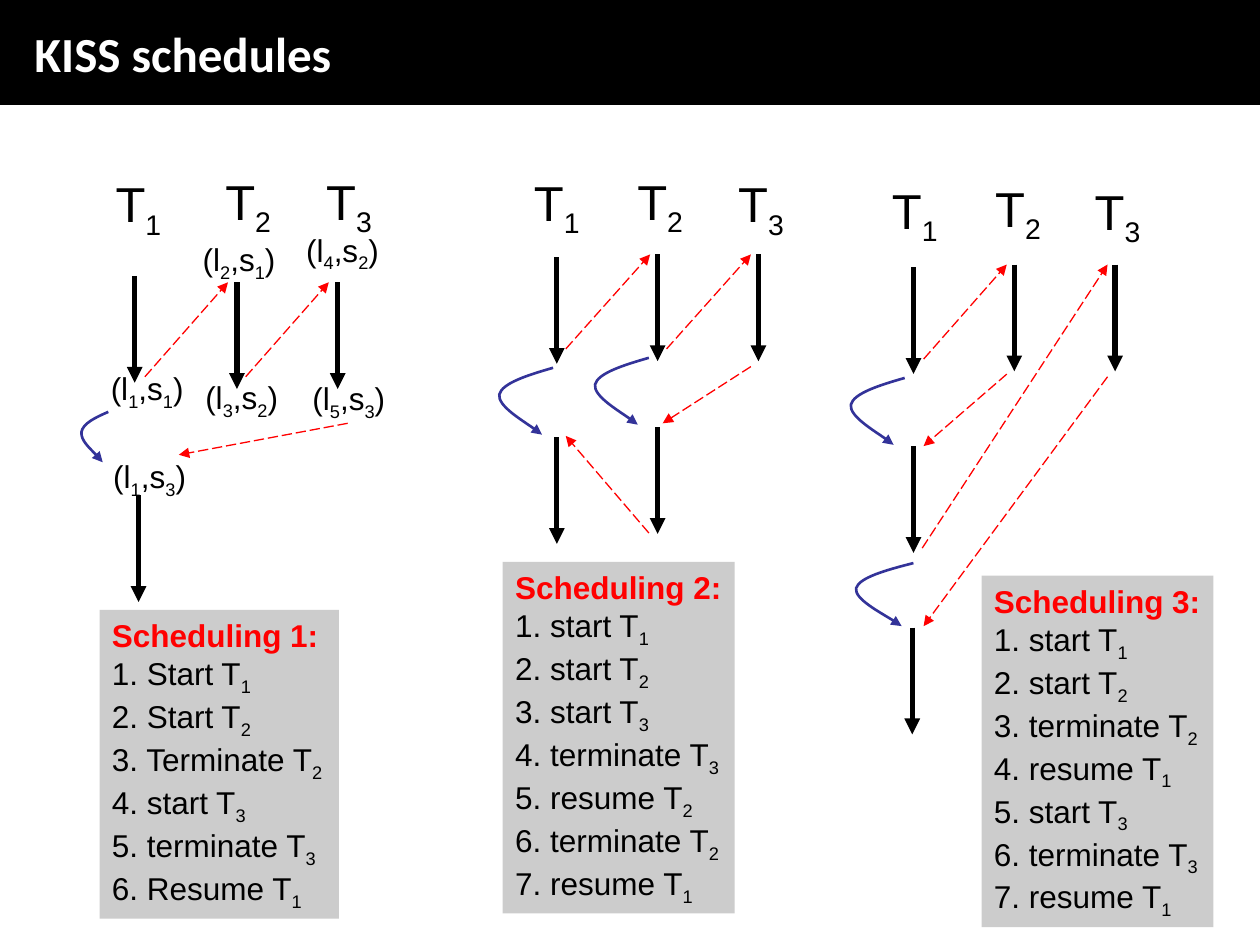
"""Build the KISS schedules slide: three task schedules with arrows and step lists."""
from pptx import Presentation
from pptx.dml.color import RGBColor
from pptx.enum import dml, shapes, text
from pptx.oxml import ns, xmlchemy
from pptx.util import Pt

BLACK, WHITE = RGBColor(0, 0, 0), RGBColor(255, 255, 255)
RED, BLUE, GRAY = RGBColor(255, 0, 0), RGBColor(0x33, 0x33, 0x99), RGBColor(0xCC, 0xCC, 0xCC)

TITLE = "KISS schedules"
SCHEDULES = [
    {
        "tasks": [(59, 95.8), (121.7, 94.3), (179.3, 94.3)],
        "states": [("(l_1,s_1)", 56.2, 207.4), ("(l_1,s_3)", 57.6, 257.8),
                   ("(l_2,s_1)", 108.7, 133.9), ("(l_3,s_2)", 110.2, 212.4),
                   ("(l_4,s_2)", 167.8, 128.2), ("(l_5,s_3)", 171.4, 213.1)],
        "runs": [(77, 157.7), (135.4, 161.3), (193, 161.3), (79.2, 283)],
        "switches": [(82.8, 215.3, 130.3, 161.3), (140.4, 215.3, 187.9, 161.3),
                     (198.7, 241.9, 102.2, 259.9)],
        "waits": [(46.1, 235.4, 15.8, 28.8)],
        "panel": (56.9, 348.5, 136.8, 176.4),
        "steps": ["Start T_1", "Start T_2", "Terminate T_2", "start T_3",
                  "terminate T_3", "Resume T_1"],
    },
    {
        "tasks": [(298, 95), (357.1, 94.3), (414.7, 95.8)],
        "states": [],
        "runs": [(318.2, 146.9), (375.8, 145.4), (433.4, 145.4), (375.8, 244.1), (318.2, 249.8)],
        "switches": [(323.3, 199.4, 371.5, 145.4), (380.9, 199.4, 429.1, 145.4),
                     (429.1, 209.5, 378.7, 241.9), (370.8, 304.6, 323.3, 249.1)],
        "waits": [(339.1, 204.5, 31.7, 38.2), (284.4, 210.2, 31.7, 38.2)],
        "panel": (287.3, 321.1, 132.5, 200.9),
        "steps": ["start T_1", "start T_2", "start T_3", "terminate T_3",
                  "resume T_2", "terminate T_2", "resume T_1"],
    },
    {
        "tasks": [(502.6, 99.4), (561.6, 98.6), (618.5, 100.1)],
        "states": [],
        "runs": [(522, 152.6), (579.6, 151.2), (637.2, 151.2), (522, 254.9), (521.3, 358.6)],
        "switches": [(527.8, 205.2, 575.3, 151.2), (575.3, 213.8, 527.8, 254.9),
                     (527, 313.2, 632.9, 151.2), (632.9, 215.3, 527.8, 357.8)],
        "waits": [(485.3, 216, 31.7, 38.2), (488.2, 321.8, 33.8, 36)],
        "panel": (560.9, 329, 132.5, 200.9),
        "steps": ["start T_1", "start T_2", "terminate T_2", "resume T_1",
                  "start T_3", "terminate T_3", "resume T_1"],
    },
]
RUN_LENGTH = 61
TASK_SIZE, STATE_SIZE = (40.3, 45.4), (56.2, 31.7)
HOOK = [(1, 0), (0.54, 0.11), (0.08, 0.23), (0.03, 0.4), (0, 0.57), (0.68, 0.91), (0.8, 1)]
BODY = {"name": "Arial", "size": Pt(18), "bold": False}
HEADING = {**BODY, "bold": True}
TASK = {**BODY, "size": Pt(28)}
TITLE_FONT = {"name": "Calibri", "size": Pt(28), "bold": True}

prs = Presentation()
prs.slide_width, prs.slide_height = Pt(720), Pt(540)
slide = prs.slides.add_slide(prs.slide_layouts[6])


def add_run(p, words, font, color, baseline=None):
    """Add one formatted run, lowered when a baseline is given."""
    r = p.add_run()
    r.text = words
    for key, value in font.items():
        setattr(r.font, key, value)
    r.font.color.rgb = color
    if baseline:
        r._r.get_or_add_rPr().set("baseline", baseline)


def write(p, words, font, color=BLACK):
    """Write text in which an underscore makes the next character a subscript."""
    p.alignment = text.PP_ALIGN.LEFT
    first, *rest = words.split("_")
    add_run(p, first, font, color)
    for part in rest:
        add_run(p, part[0], font, color, "-25000")
        if part[1:]:
            add_run(p, part[1:], font, color)


def fit(tf):
    """Let the frame follow its unwrapped text."""
    for key, value in {"word_wrap": False, "auto_size": text.MSO_AUTO_SIZE.SHAPE_TO_FIT_TEXT,
                       "vertical_anchor": text.MSO_ANCHOR.TOP}.items():
        setattr(tf, key, value)


def add_label(words, left, top, size, font):
    """Add a one-line label."""
    sp = slide.shapes.add_textbox(*map(Pt, (left, top, *size)))
    fit(sp.text_frame)
    write(sp.text_frame.paragraphs[0], words, font)


def add_box(box, color):
    """Add a filled rectangle without outline and return its text frame."""
    sp = slide.shapes.add_shape(shapes.MSO_SHAPE.RECTANGLE, *map(Pt, box))
    sp.shadow.inherit = False
    sp.fill.solid()
    sp.fill.fore_color.rgb = color
    sp.line.fill.background()
    return sp.text_frame


def style_arrow(sp, color, width):
    """Colour a line and give it a triangular end."""
    sp.line.color.rgb = color
    sp.line.width = Pt(width)
    tail = xmlchemy.OxmlElement("a:tailEnd")
    tail.set("type", "triangle")
    sp.line._get_or_add_ln().append(tail)


def add_arrow(ends, color, width, dash=None):
    """Add a straight arrow."""
    sp = slide.shapes.add_connector(shapes.MSO_CONNECTOR.STRAIGHT, *map(Pt, ends))
    if dash:
        sp.line.dash_style = dash
    style_arrow(sp, color, width)
    sp._element.spPr.append(xmlchemy.OxmlElement("a:effectLst"))


def add_hook(left, top, width, height):
    """Add a curved arrow of two cubic segments."""
    start, *points = [(Pt(left + x * width), Pt(top + y * height)) for x, y in HOOK]
    builder = slide.shapes.build_freeform(*start)
    builder.add_line_segments(points, close=False)
    sp = builder.convert_to_shape()
    sp.shadow.inherit = False
    sp.fill.background()
    style_arrow(sp, BLUE, 1.5)
    segments = list(sp._element.iter(ns.qn("a:lnTo")))
    for i in range(0, len(segments), 3):
        curve = xmlchemy.OxmlElement("a:cubicBezTo")
        segments[i].addprevious(curve)
        for segment in segments[i:i + 3]:
            curve.append(segment[0])
            segment.getparent().remove(segment)


tf = add_box((0, 0, 722, 60), BLACK)
tf.margin_left = Pt(19.7)
tf.vertical_anchor = text.MSO_ANCHOR.MIDDLE
write(tf.paragraphs[0], TITLE, TITLE_FONT, WHITE)

for number, schedule in enumerate(SCHEDULES, 1):
    for task, (left, top) in enumerate(schedule["tasks"], 1):
        add_label(f"T_{task}", left, top, TASK_SIZE, TASK)
    for words, left, top in schedule["states"]:
        add_label(words, left, top, STATE_SIZE, BODY)
    for x, y in schedule["runs"]:
        add_arrow((x, y, x, y + RUN_LENGTH), BLACK, 3)
    for ends in schedule["switches"]:
        add_arrow(ends, RED, 0.74, dml.MSO_LINE.LONG_DASH)
    for hook in schedule["waits"]:
        add_hook(*hook)
    tf = add_box(schedule["panel"], GRAY)
    fit(tf)
    write(tf.paragraphs[0], f"Scheduling {number}:", HEADING, RED)
    for i, step in enumerate(schedule["steps"], 1):
        write(tf.add_paragraph(), f"{i}. {step}", BODY)

prs.save("out.pptx")
